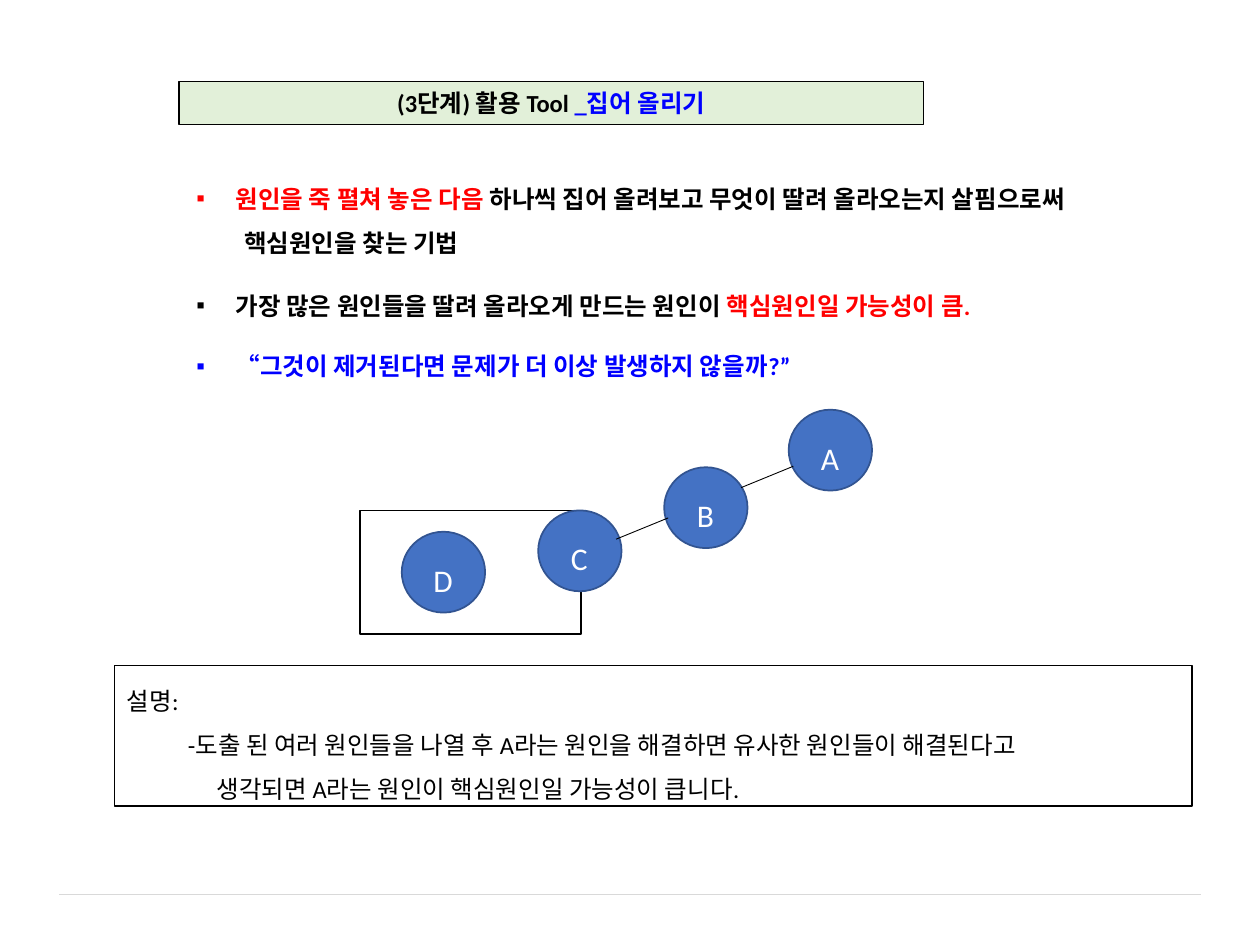
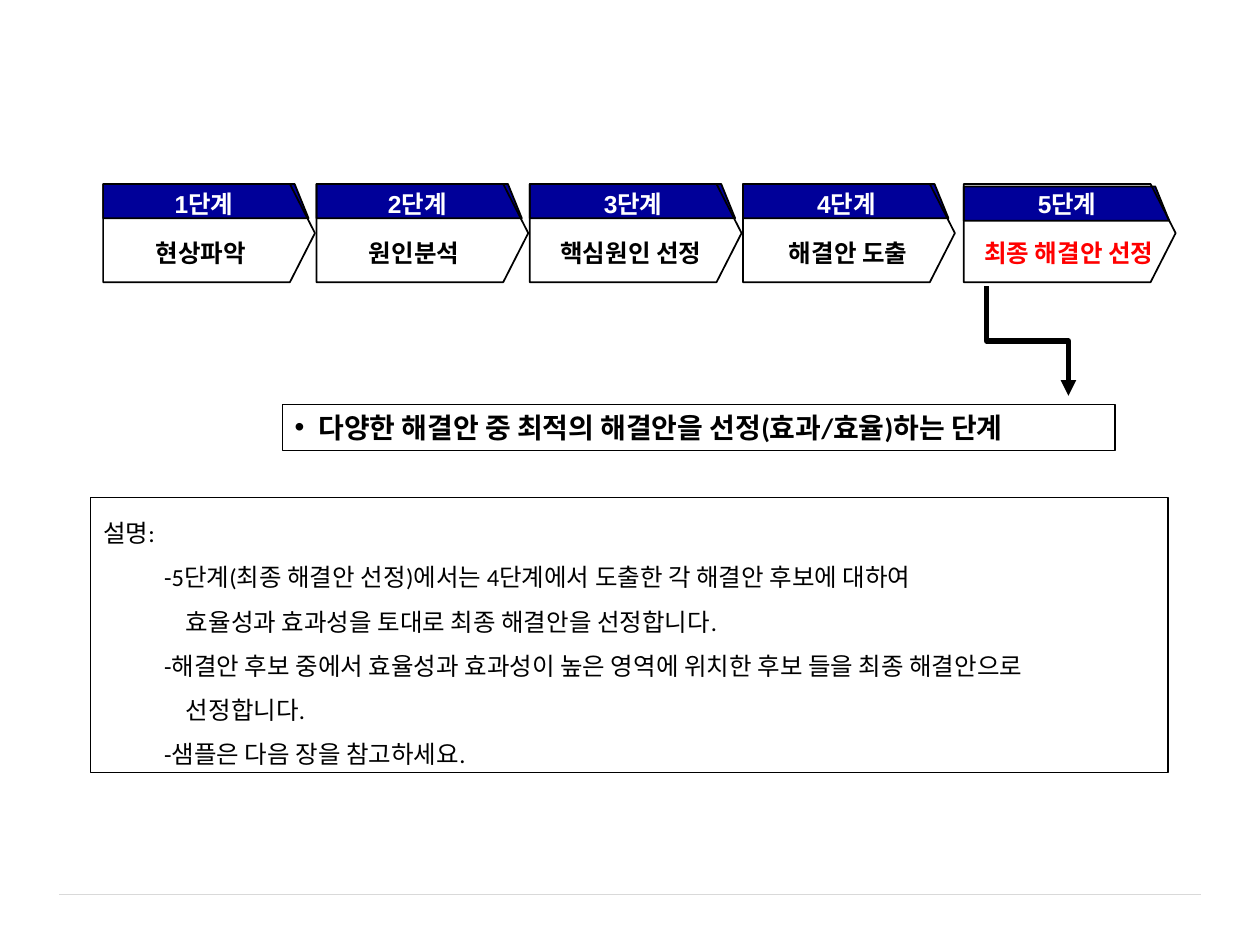
from lxml import etree
from pptx import Presentation
from pptx.dml.color import RGBColor
from pptx.enum.shapes import MSO_CONNECTOR, MSO_SHAPE
from pptx.enum.text import MSO_ANCHOR, MSO_AUTO_SIZE, PP_ALIGN
from pptx.oxml.ns import qn
from pptx.util import Cm, Pt

RECTANGLE, ELLIPSE, PENTAGON = MSO_SHAPE.RECTANGLE, MSO_SHAPE.OVAL, MSO_SHAPE.PENTAGON
STRAIGHT, ELBOW = MSO_CONNECTOR.STRAIGHT, MSO_CONNECTOR.ELBOW
LEFT, CENTER = PP_ALIGN.LEFT, PP_ALIGN.CENTER
TOP, MIDDLE = MSO_ANCHOR.TOP, MSO_ANCHOR.MIDDLE

BLACK, WHITE, RED, BLUE = "000000", "FFFFFF", "FF0000", "0000FF"
NAVY, CIRCLE_FILL, CIRCLE_LINE = "000099", "4472C4", "325491"
TITLE_FILL, FOOTER_LINE = "E2F0D9", "D9D9D9"
TITLE_ONLY, BLANK = 5, 6
SQUARE_INDENT = 0.79


def color(hex_string):
    return RGBColor.from_string(hex_string)


def lengths(*values):
    return [Cm(value) for value in values]


def style_shape(shape, fill=None, line=BLACK, width=0.75):
    if fill:
        shape.fill.solid()
        shape.fill.fore_color.rgb = color(fill)
    else:
        shape.fill.background()
    shape.line.color.rgb = color(line)
    shape.line.width = Pt(width)


def add_shape(slide, kind, box, **style):
    shape = slide.shapes.add_shape(kind, *lengths(*box))
    shape.shadow.inherit = False
    style_shape(shape, **style)
    return shape


def add_line(slide, start, end, kind=STRAIGHT, line=BLACK, width=0.5):
    connector = slide.shapes.add_connector(kind, *lengths(*start, *end))
    connector.line.color.rgb = color(line)
    connector.line.width = Pt(width)
    etree.SubElement(connector._element.spPr, qn("a:effectLst"))
    return connector


def set_indent(paragraph, margin, bullet=None):
    properties = paragraph._p.get_or_add_pPr()
    properties.set("marL", str(Cm(margin)))
    properties.set("indent", str(-Cm(margin) if bullet else 0))
    if bullet:
        etree.SubElement(properties, qn("a:buFont")).set("typeface", "Arial")
        etree.SubElement(properties, qn("a:buChar")).set("char", bullet)


def write_text(shape, runs, *, size=14, font="Calibri", bold=False, align=LEFT,
               anchor=TOP, spacing=1.0, margin=0, bullet=None, append=False):
    """Write one paragraph of (text, colour) runs, as first or further one."""
    frame = shape.text_frame
    frame.word_wrap = True
    frame.auto_size = MSO_AUTO_SIZE.NONE
    frame.vertical_anchor = anchor
    paragraph = frame.add_paragraph() if append else frame.paragraphs[0]
    paragraph.alignment = align
    paragraph.line_spacing = spacing
    set_indent(paragraph, margin, bullet)
    for text, text_color in runs:
        run = paragraph.add_run()
        run.text = text
        run.font.name = font
        run.font.size = Pt(size)
        run.font.bold = bold
        run.font.color.rgb = color(text_color)


def add_text(slide, box, runs, **text_format):
    text_box = slide.shapes.add_textbox(*lengths(*box))
    write_text(text_box, runs, **text_format)
    return text_box


# Shared parts
def add_slide(presentation, layout):
    slide = presentation.slides.add_slide(presentation.slide_layouts[layout])
    add_line(slide, (1.19, 18.03), (24.21, 18.03), line=FOOTER_LINE)
    return slide


def format_title(slide, box, runs):
    title = slide.shapes.title
    title.left, title.top, title.width, title.height = lengths(*box)
    style_shape(title, fill=TITLE_FILL)
    write_text(title, runs, bold=True, align=CENTER, anchor=MIDDLE)


def add_explanation(slide, box, lines):
    """Bordered box with a heading and (left margin, text) lines."""
    panel = add_shape(slide, RECTANGLE, box)
    write_text(panel, [("설명:", BLACK)], spacing=1.5)
    for margin, text in lines:
        write_text(panel, [(text, BLACK)], spacing=1.5, margin=margin, append=True)


# Slide 1: picking up causes
def add_bullets(slide, left, top):
    square = {"bold": True, "margin": SQUARE_INDENT, "bullet": "▪"}
    method = add_text(slide, (left, top, 19.81, 1.96), [
        ("원인을 죽 펼쳐 놓은 다음 ", RED),
        ("하나씩 집어 올려보고 무엇이 딸려 올라오는지 살핌으로써", BLACK)], spacing=1.5, **square)
    write_text(method, [("핵심원인을 찾는 기법", BLACK)],
               bold=True, spacing=1.5, margin=0.96, append=True)
    add_text(slide, (left, top + 2.16, 20.6, 1.07), [
        ("가장 많은 원인들을 딸려 올라오게 만드는 원인이 ", BLACK),
        ("핵심원인일 가능성이 큼.", RED)], spacing=1.5, **square)
    add_text(slide, (left, top + 3.68, 20.6, 0.86),
             [("“그것이 제거된다면 문제가 더 이상 발생하지 않을까?”", BLUE)], **square)


def add_cause_chain(slide, left, top):
    add_shape(slide, RECTANGLE, (left, top + 2.03, 4.45, 2.49), width=1)
    circles = [("D", 0.84, 2.46), ("C", 3.59, 2.03), ("B", 6.13, 1.16), ("A", 8.64, 0)]
    for letter, x, y in circles:
        x, y = left + x, top + y
        add_shape(slide, ELLIPSE, (x, y, 1.68, 1.63),
                  fill=CIRCLE_FILL, line=CIRCLE_LINE, width=1)
        add_text(slide, (x + 0.27, y + 0.46, 1.12, 0.79), [(letter, WHITE)],
                 size=18, align=CENTER)
    for x, y in ((5.16, 2.61), (7.68, 1.57)):
        add_line(slide, (left + x, top + y), (left + x + 1.05, top + y - 0.43))


def build_picking_slide(presentation):
    slide = add_slide(presentation, TITLE_ONLY)
    format_title(slide, (3.61, 1.65, 15.01, 0.86),
                 [("(3단계) 활용 Tool ", BLACK), ("_집어 올리기", BLUE)])
    add_bullets(slide, 3.71, 3.28)
    add_cause_chain(slide, 7.26, 8.26)
    add_explanation(slide, (2.31, 13.41, 21.72, 2.84), [
        (1.23, "-도출 된 여러 원인들을 나열 후 A라는 원인을 해결하면 유사한 원인들이 해결된다고"),
        (1.81, "생각되면 A라는 원인이 핵심원인일 가능성이 큽니다."),
    ])


# Slide 2: the five steps
def add_step(slide, left, top, number, name, name_color, band_drop,
             number_shift, name_shift):
    band_top, band_bottom = top + band_drop, top + band_drop + 0.69
    builder = slide.shapes.build_freeform(Cm(left), Cm(band_top))
    corners = [(left, band_bottom), (left + 4.14, band_bottom), (left + 3.86, band_top)]
    builder.add_line_segments([lengths(*corner) for corner in corners], close=True)
    band = builder.convert_to_shape()
    band.shadow.inherit = False
    style_shape(band, fill=NAVY, width=1)
    arrow = add_shape(slide, PENTAGON, (left, top, 4.27, 1.98), width=1)
    arrow.adjustments[0] = 0.255
    label = {"font": "Arial", "bold": True, "align": CENTER}
    add_text(slide, (left + number_shift, top - 0.03, 4.17, 0.84),
             [(f"{number}단계", WHITE)], **label)
    add_text(slide, (left + name_shift, top + 0.96, 4.34, 0.84),
             [(name, name_color)], anchor=MIDDLE, **label)


def add_steps(slide, left, top):
    pitch = 4.3
    steps = [  # name, colour, extra left, band drop, number shift, name shift
        ("현상파악", BLACK, 0, 0, -0.05, -0.2),
        ("원인분석", BLACK, 0, 0, -0.05, -0.2),
        ("핵심원인 선정", BLACK, 0, 0, 0, -0.13),
        ("해결안 도출", BLACK, 0, 0, 0, -0.05),
        ("최종 해결안 선정", RED, 0.15, 0.05, 0, -0.05),
    ]
    for index, (name, name_color, extra, *shifts) in enumerate(steps):
        add_step(slide, left + index * pitch + extra, top,
                 index + 1, name, name_color, *shifts)


def add_result(slide, box):
    result = add_shape(slide, RECTANGLE, box)
    write_text(result, [("다양한 해결안 중 최적의 해결안을 선정(효과/효율)하는 단계", BLACK)],
               size=16, bold=True, margin=0.48, bullet="•")
    # Elbow turned by 270 degrees, so that it leaves and arrives vertically
    left, top = box[0] + 13.92, box[1] - 2.1
    arrow = add_line(slide, (left + 2.21, top), (left, top + 1.65), kind=ELBOW, width=3)
    arrow._element.spPr.find(qn("a:xfrm")).set("rot", str(270 * 60000))
    line = arrow.line._get_or_add_ln()
    etree.SubElement(line, qn("a:tailEnd")).set("type", "triangle")


def build_steps_slide(presentation):
    slide = add_slide(presentation, BLANK)
    add_steps(slide, 2.08, 3.71)
    add_result(slide, (5.69, 8.15, 16.79, 0.94))
    add_explanation(slide, (1.83, 10.03, 21.72, 5.54), [
        (1.23, "-5단계(최종 해결안 선정)에서는 4단계에서 도출한 각 해결안 후보에 대하여"),
        (1.67, "효율성과 효과성을 토대로 최종 해결안을 선정합니다."),
        (1.23, "-해결안 후보 중에서 효율성과 효과성이 높은 영역에 위치한 후보 들을 최종 해결안으로"),
        (1.67, "선정합니다."),
        (1.23, "-샘플은 다음 장을 참고하세요."),
    ])


def main():
    presentation = Presentation()
    presentation.slide_width, presentation.slide_height = lengths(25.4, 19.05)
    build_picking_slide(presentation)
    build_steps_slide(presentation)
    presentation.save("out.pptx")


if __name__ == "__main__":
    main()
